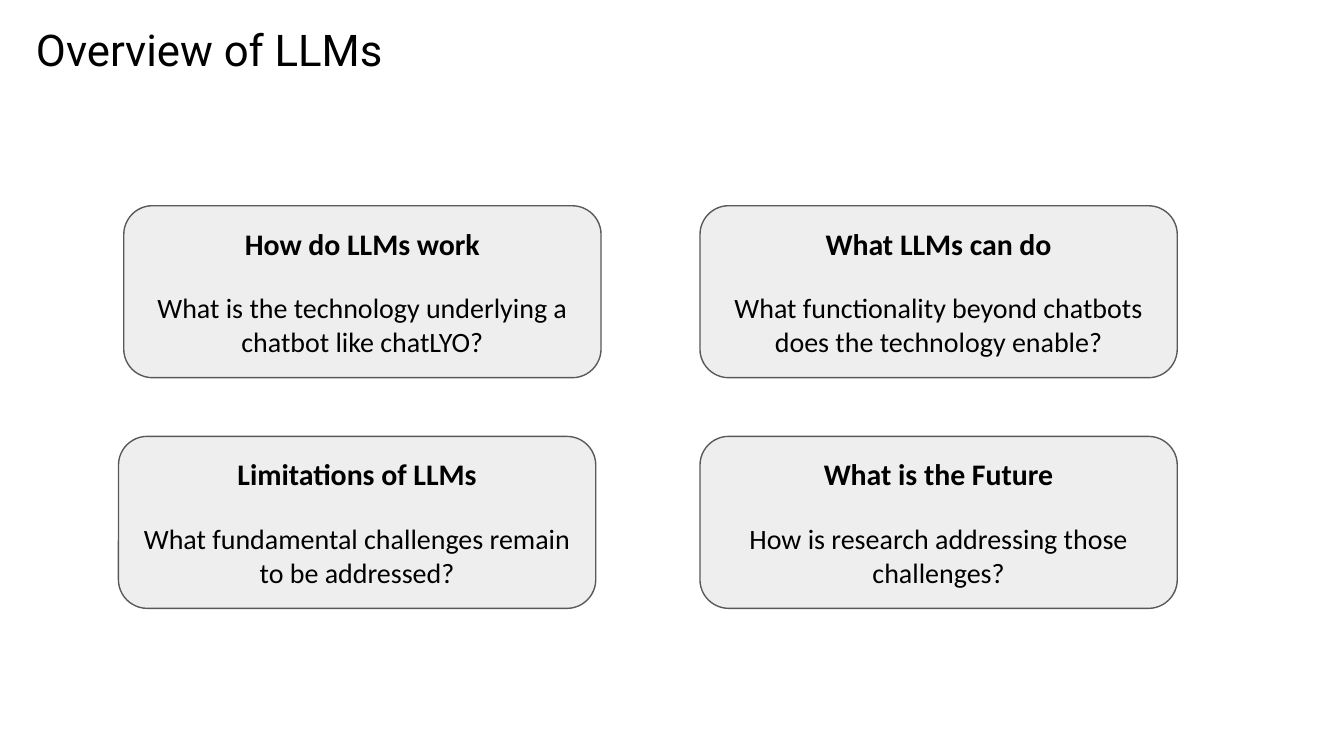
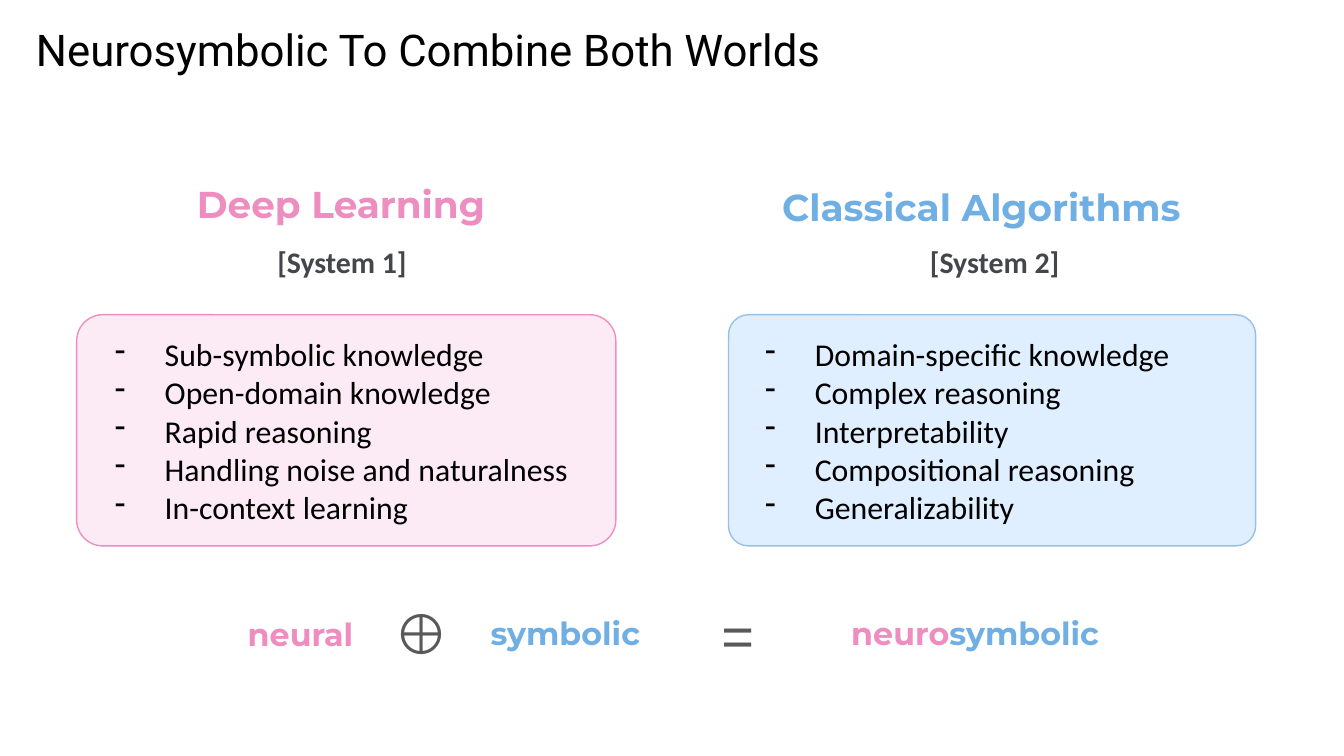
from dataclasses import dataclass
from typing import NamedTuple

from lxml.etree import SubElement
from pptx import Presentation
from pptx.dml.color import RGBColor
from pptx.enum.shapes import MSO_SHAPE as Shape
from pptx.enum.text import MSO_ANCHOR as Anchor, MSO_AUTO_SIZE as AutoSize, PP_ALIGN as Align
from pptx.oxml.ns import qn
from pptx.util import Cm, Pt


@dataclass(frozen=True)
class Theme:
    black: str = "000000"
    grey: str = "595959"
    label_grey: str = "44464B"
    card: str = "EEEEEE"
    pink: str = "EE8DC0"
    blue: str = "70AFE4"
    blue_fill: str = "89C5FF"
    blue_line: str = "97C0E8"
    title_font: str = "Roboto"
    body_font: str = "Calibri"
    accent_font: str = "Montserrat"
    symbol_font: str = "Arial"
    title_size: float = 23.4
    heading_size: float = 20
    label_size: float = 16
    text_size: float = 15
    list_size: float = 17
    symbol_size: float = 30
    line_width: float = 0.75


class Box(NamedTuple):
    """A region in centimetres."""
    left: float
    top: float
    width: float
    height: float

    def inner(self, left, top, width, height):
        return Box(self.left + left, self.top + top, width, height)

    def lengths(self):
        return [Cm(value) for value in self]


@dataclass(frozen=True)
class Side:
    """One half of the comparison; heading and label are relative to box."""
    box: Box
    heading: str
    heading_box: tuple
    label: str
    label_box: tuple
    color: str
    fill: str
    opacity: int
    line: str
    rounding: float
    items: tuple


THEME = Theme()
SLIDE_SIZE = (25.4, 14.29)
TITLE_BOX = Box(0.43, 0.18, 24.56, 1.6)
FRAME = dict(word_wrap=True, **{f"margin_{side}": Cm(0.25)
                                for side in ("left", "top", "right", "bottom")})

CARD_SIZE = (9.02, 3.25)
CARD_ROWS = (
    (3.89, (
        (2.34, "How do LLMs work",
         "What is the technology underlying a chatbot like chatLYO?"),
        (13.23, "What LLMs can do",
         "What functionality beyond chatbots does the technology enable?"))),
    (8.25, (
        (2.24, "Limitations of LLMs",
         "What fundamental challenges remain to be addressed?"),
        (13.23, "What is the Future",
         "How is research addressing those challenges?"))),
)

SIDES = (
    Side(Box(1.45, 3.18, 10.19, 7.14),
         "Deep Learning", (1.73, 0, 6.53, 1.37),
         "[System 1]", (2.97, 1.17, 4.09, 1.19),
         THEME.pink, THEME.pink, 17, THEME.pink, 0.113,
         ("Sub-symbolic knowledge", "Open-domain knowledge", "Rapid reasoning",
          "Handling noise and naturalness", "In-context learning")),
    Side(Box(13.77, 3.18, 9.96, 7.14),
         "Classical Algorithms", (0.74, 0.05, 8.08, 1.37),
         "[System 2]", (3.25, 1.17, 3.56, 1.19),
         THEME.blue, THEME.blue_fill, 26, THEME.blue_line, 0.086,
         ("Domain-specific knowledge", "Complex reasoning", "Interpretability",
          "Compositional reasoning", "Generalizability")),
)
PANEL_TOP = 2.77

EQUATION_BOX = Box(4.27, 11.07, 17.5, 1.83)
WORD_HEIGHT, SYMBOL_HEIGHT = 1.24, 1.8
EQUATION_WORDS = (
    (0, 0.3, 2.82, (("neural", THEME.pink),)),
    (4.65, 0.28, 3.53, (("symbolic", THEME.blue),)),
    (10.82, 0.28, 6.68, (("neuro", THEME.pink), ("symbolic", THEME.blue))),
)
EQUATION_SYMBOLS = ((2.84, 0, 1.73, "⊕"), (8.81, 0.03, 1.73, "="))


def apply(target, values):
    for name, value in values.items():
        setattr(target, name, value)


def add_run(paragraph, text, font, size, color, bold=False):
    run = paragraph.add_run()
    run.text = text
    apply(run.font, dict(name=font, size=Pt(size), bold=bold))
    run.font.color.rgb = RGBColor.from_string(color)


def add_text(slide, box, parts, font, size, bold=True):
    """Add one centred line made of (text, colour) parts."""
    frame = slide.shapes.add_textbox(*box.lengths()).text_frame
    apply(frame, dict(FRAME, auto_size=AutoSize.SHAPE_TO_FIT_TEXT))
    paragraph = frame.paragraphs[0]
    paragraph.alignment = Align.CENTER
    for text, color in parts:
        add_run(paragraph, text, font, size, color, bold)


def add_panel(slide, box, fill, line, rounding, opacity=100):
    """Add a rounded rectangle and return its text frame."""
    shape = slide.shapes.add_shape(Shape.ROUNDED_RECTANGLE, *box.lengths())
    shape.adjustments[0] = rounding
    shape.shadow.inherit = False
    shape.fill.solid()
    shape.fill.fore_color.rgb = RGBColor.from_string(fill)
    if opacity < 100:
        color = shape._element.spPr.find(qn("a:solidFill"))[0]
        SubElement(color, qn("a:alpha"), val=str(opacity * 1000))
    shape.line.color.rgb = RGBColor.from_string(line)
    shape.line.width = Pt(THEME.line_width)
    apply(shape.text_frame, dict(FRAME, vertical_anchor=Anchor.MIDDLE))
    return shape.text_frame


def add_dash(paragraph):
    properties = paragraph._p.get_or_add_pPr()
    properties.set("marL", str(Cm(1.27)))
    properties.set("indent", str(Cm(-0.94)))
    color = SubElement(properties, qn("a:buClr"))
    SubElement(color, qn("a:srgbClr"), val=THEME.black)
    SubElement(properties, qn("a:buChar"), char="-")


def add_titled_slide(presentation, title):
    slide = presentation.slides.add_slide(presentation.slide_layouts[5])
    shape = slide.shapes.title
    apply(shape, dict(zip(("left", "top", "width", "height"), TITLE_BOX.lengths())))
    apply(shape.text_frame, dict(FRAME, vertical_anchor=Anchor.TOP,
                                 auto_size=AutoSize.NONE))
    paragraph = shape.text_frame.paragraphs[0]
    paragraph.alignment = Align.LEFT
    add_run(paragraph, title, THEME.title_font, THEME.title_size, THEME.black)
    return slide


def add_card(slide, box, heading, question):
    frame = add_panel(slide, box, THEME.card, THEME.grey, 0.167)
    first, second = frame.paragraphs[0], frame.add_paragraph()
    first.alignment = second.alignment = Align.CENTER
    second.space_before = Pt(16)
    add_run(first, heading, THEME.body_font, THEME.label_size, THEME.black, True)
    add_run(second, question, THEME.body_font, THEME.text_size, THEME.black)


def add_side(slide, side):
    box = side.box
    add_text(slide, box.inner(*side.heading_box), [(side.heading, side.color)],
             THEME.accent_font, THEME.heading_size)
    add_text(slide, box.inner(*side.label_box), [(side.label, THEME.label_grey)],
             THEME.body_font, THEME.label_size)
    panel_box = box.inner(0, PANEL_TOP, box.width, box.height - PANEL_TOP)
    frame = add_panel(slide, panel_box, side.fill, side.line, side.rounding, side.opacity)
    for index, item in enumerate(side.items):
        paragraph = frame.add_paragraph() if index else frame.paragraphs[0]
        paragraph.alignment = Align.LEFT
        add_dash(paragraph)
        add_run(paragraph, item, THEME.body_font, THEME.list_size, THEME.black)


def add_equation(slide, box):
    for left, top, width, parts in EQUATION_WORDS:
        add_text(slide, box.inner(left, top, width, WORD_HEIGHT), parts,
                 THEME.accent_font, THEME.list_size)
    for left, top, width, symbol in EQUATION_SYMBOLS:
        add_text(slide, box.inner(left, top, width, SYMBOL_HEIGHT),
                 [(symbol, THEME.grey)], THEME.symbol_font, THEME.symbol_size, bold=False)


def build_overview(presentation):
    slide = add_titled_slide(presentation, "Overview of LLMs")
    for top, cards in CARD_ROWS:
        for left, heading, question in cards:
            add_card(slide, Box(left, top, *CARD_SIZE), heading, question)


def build_comparison(presentation):
    slide = add_titled_slide(presentation, "Neurosymbolic To Combine Both Worlds")
    for side in SIDES:
        add_side(slide, side)
    add_equation(slide, EQUATION_BOX)


def main():
    presentation = Presentation()
    presentation.slide_width, presentation.slide_height = map(Cm, SLIDE_SIZE)
    build_overview(presentation)
    build_comparison(presentation)
    presentation.save("out.pptx")


if __name__ == "__main__":
    main()
